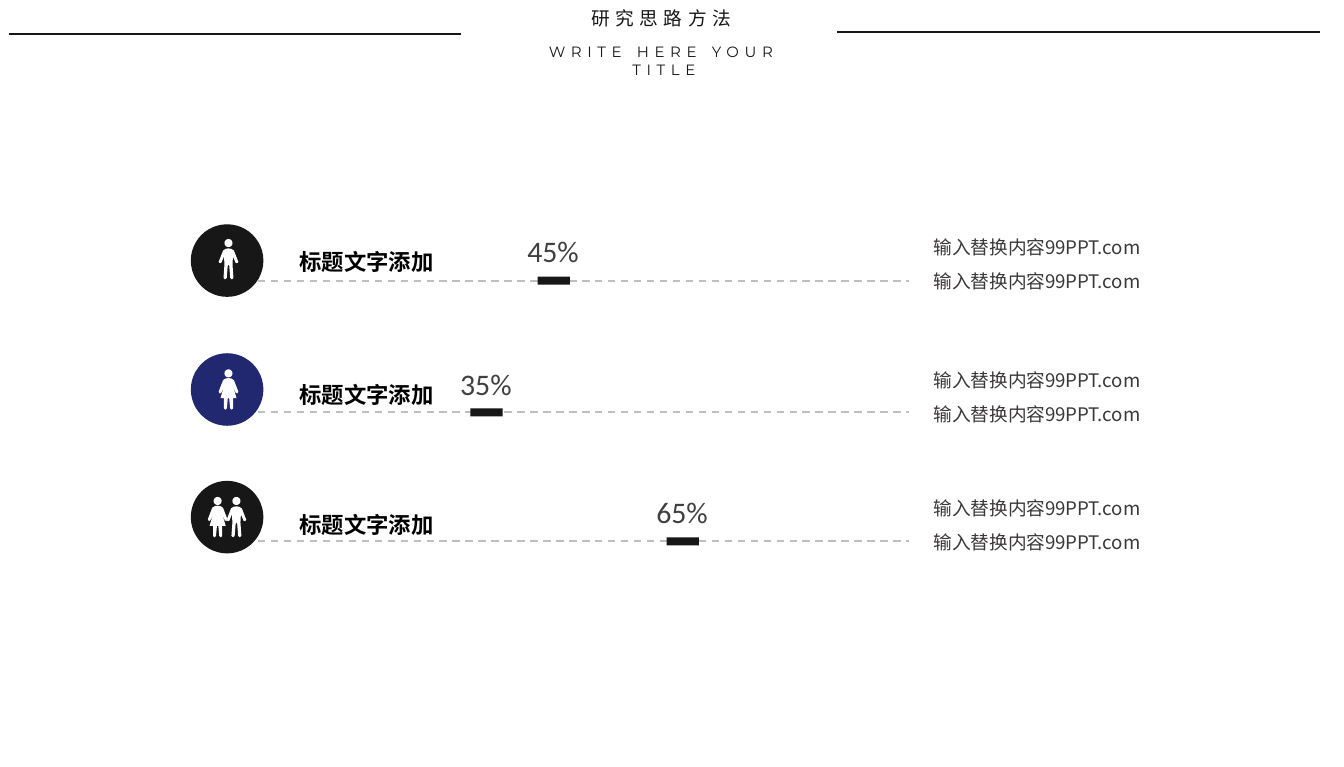
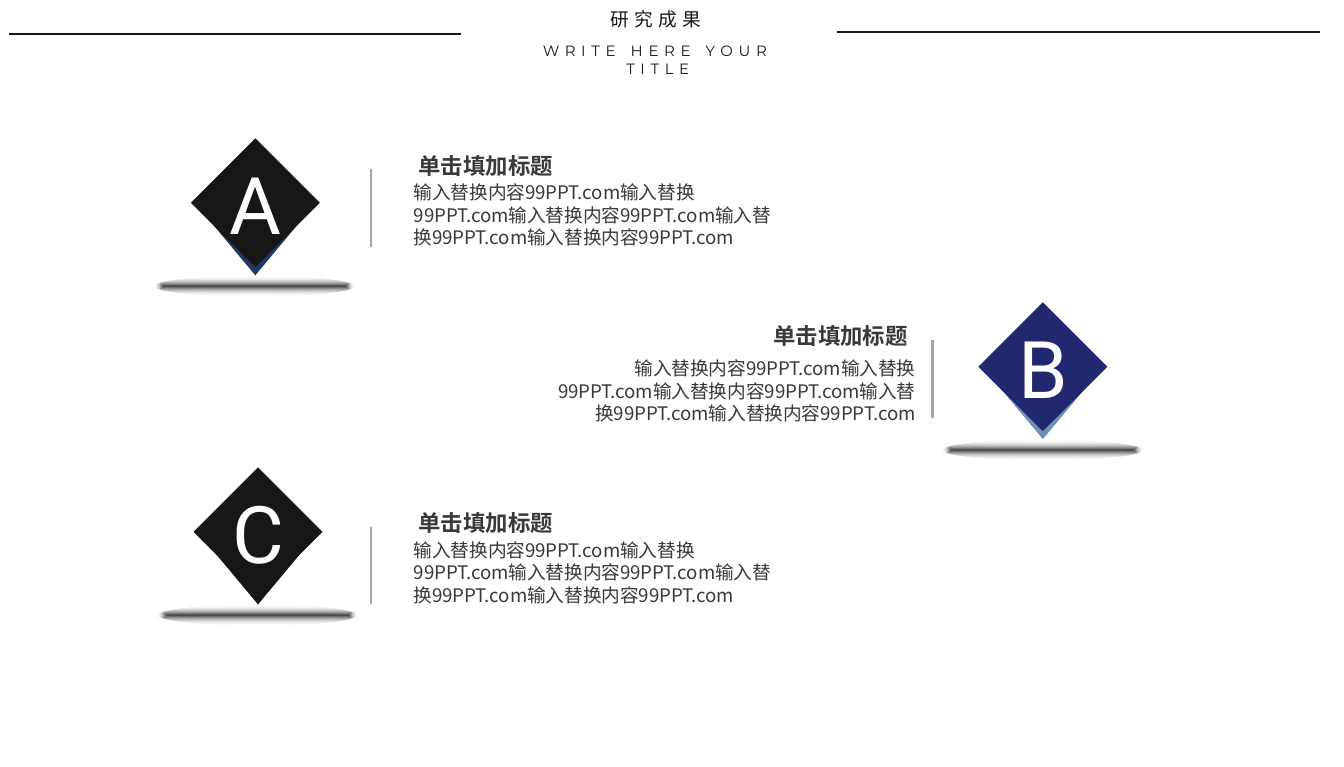
from dataclasses import dataclass
from math import cos, pi, sin

from pptx import Presentation
from pptx.dml.color import RGBColor
from pptx.enum.dml import MSO_LINE
from pptx.enum.shapes import MSO_CONNECTOR, MSO_SHAPE
from pptx.enum.text import MSO_ANCHOR, MSO_AUTO_SIZE, PP_ALIGN
from pptx.oxml import parse_xml
from pptx.oxml.ns import nsdecls, qn
from pptx.util import Inches, Pt

LEFT, CENTER, RIGHT, JUSTIFY = PP_ALIGN.LEFT, PP_ALIGN.CENTER, PP_ALIGN.RIGHT, PP_ALIGN.JUSTIFY
TOP, MIDDLE = MSO_ANCHOR.TOP, MSO_ANCHOR.MIDDLE
GROW, FIXED = MSO_AUTO_SIZE.SHAPE_TO_FIT_TEXT, MSO_AUTO_SIZE.NONE
DASH = MSO_LINE.DASH
STRAIGHT = MSO_CONNECTOR.STRAIGHT
OVAL, RECT, DIAMOND = MSO_SHAPE.OVAL, MSO_SHAPE.RECTANGLE, MSO_SHAPE.DIAMOND


@dataclass(frozen=True)
class TextStyle:
    font: str
    size: float
    color: str
    bold: bool = False
    tracking: float = 0


@dataclass(frozen=True)
class Theme:
    ink: str = "181717"
    navy: str = "212870"
    deep_blue: str = "203864"
    steel: str = "6E90B3"
    white: str = "FFFFFF"
    dash: str = "BFBFBF"
    rule: str = "A6A6A6"
    shade: str = "404040"
    shade_edge: str = "EEECE1"
    title: TextStyle = TextStyle("Noto Sans CJK SC", 10, "181717", tracking=3)
    subtitle: TextStyle = TextStyle("Montserrat", 8, "181717", tracking=3)
    label: TextStyle = TextStyle("Arial", 12, "000000", bold=True)
    percent: TextStyle = TextStyle("Calibri", 16, "404040")
    body: TextStyle = TextStyle("Noto Sans CJK SC", 10, "3B3838")
    heading: TextStyle = TextStyle("Noto Sans CJK SC", 12, "3B3838", bold=True)
    letter: TextStyle = TextStyle("Roboto", 42.6, "FFFFFF")


THEME = Theme()


@dataclass(frozen=True)
class Figure:
    x: float
    top: float
    outline: tuple


@dataclass(frozen=True)
class Measure:
    percent: str
    color: str
    circle_y: float
    line_y: float
    label_y: float
    note_y: float
    marker_x: float
    figures: tuple


@dataclass(frozen=True)
class Finding:
    letter: str
    front: str
    back: str
    x: float
    y: float
    rule_x: float
    rule_y: float
    heading_x: float
    body_x: float
    body_dy: float
    align: PP_ALIGN


# Right half of each body outline, in hundredths of an inch from the top centre
MAN = ((0, 7), (2, 7.3), (4, 8.5), (7.3, 17), (6.5, 18), (5.3, 17.7), (3.3, 13), (3, 19),
       (3.7, 29), (2.5, 30), (1.3, 29), (0.6, 20), (0, 19))
WOMAN = ((0, 6.5), (2, 6.8), (4, 8), (7.3, 16.5), (6.5, 18), (5.3, 17.3), (3.2, 12), (6, 21.5),
         (3.4, 21.5), (3.4, 29), (2.3, 30), (1.2, 29), (0.5, 21.5), (0, 21.5))
HEAD_RADIUS = 0.03
HEAD_POINTS = 16

LABEL = "标题文字添加"
NOTE = "输入替换内容99PPT.com"
HEADING = "单击填加标题"
BODY = "输入替换内容99PPT.com输入替换99PPT.com输入替换内容99PPT.com输入替换99PPT.com输入替换内容99PPT.com"
SUBTITLE = "WRITE HERE YOUR TITLE"

MEASURES = (
    Measure("45%", THEME.ink, 1.67, 2.09, 1.76, 1.71, 4.0, (Figure(1.7, 1.78, MAN),)),
    Measure("35%", THEME.navy, 2.63, 3.07, 2.75, 2.7, 3.5, (Figure(1.7, 2.75, WOMAN),)),
    Measure("65%", THEME.ink, 3.58, 4.03, 3.72, 3.65, 4.96,
            (Figure(1.62, 3.7, WOMAN), Figure(1.76, 3.7, MAN))),
)
FINDINGS = (
    Finding("A", THEME.ink, THEME.deep_blue, 1.42, 1.03, 2.76, 1.26, 2.93, 2.98, 0.04, LEFT),
    Finding("B", THEME.navy, THEME.steel, 7.28, 2.25, 6.94, 2.53, 5.57, 3.94, 0.08, RIGHT),
    Finding("C", THEME.ink, THEME.ink, 1.44, 3.48, 2.76, 3.92, 2.93, 2.98, 0.04, LEFT),
)


# Drawing helpers
def rgb(color: str) -> RGBColor:
    return RGBColor.from_string(color)


def set_text(sp, lines: tuple, style: TextStyle, align=LEFT, anchor=TOP, wrap=True,
             auto=GROW, inset=True, leading=None, gap=0) -> None:
    tf = sp.text_frame
    tf.word_wrap, tf.auto_size, tf.vertical_anchor = wrap, auto, anchor
    tf.margin_left = tf.margin_right = Inches(0.1 if inset else 0)
    tf.margin_top = tf.margin_bottom = Inches(0.05 if inset else 0)
    for i, line in enumerate(lines):
        p = tf.add_paragraph() if i else tf.paragraphs[0]
        p.text = line
        p.alignment = align
        p.space_before = Pt(gap if i else 0)
        if leading:
            p.line_spacing = leading
        f = p.font
        f.name, f.size, f.bold = style.font, Pt(style.size), style.bold
        f.color.rgb = rgb(style.color)
        props = p._p.pPr.find(qn("a:defRPr"))
        if style.tracking:
            props.set("spc", str(int(style.tracking * 100)))
        props.find(qn("a:latin")).addnext(
            parse_xml(f'<a:ea {nsdecls("a")} typeface="{style.font}"/>'))


def add_text(s, box: tuple, lines: tuple, style: TextStyle, **options):
    sp = s.shapes.add_textbox(*map(Inches, box))
    set_text(sp, lines, style, **options)
    return sp


def paint(sp, color: str) -> None:
    sp.shadow.inherit = False
    sp.fill.solid()
    sp.fill.fore_color.rgb = rgb(color)
    sp.line.fill.background()


def add_block(s, kind, box: tuple, color: str):
    sp = s.shapes.add_shape(kind, *map(Inches, box))
    paint(sp, color)
    return sp


def add_line(s, ends: tuple, color: str, width: float = 1, dash=None) -> None:
    line = s.shapes.add_connector(STRAIGHT, *map(Inches, ends))
    line.line.color.rgb = rgb(color)
    line.line.width = Pt(width)
    if dash:
        line.line.dash_style = dash
    line._element.spPr.append(parse_xml(f'<a:effectLst {nsdecls("a")}/>'))


def add_figures(s, figures: tuple) -> None:
    contours = []
    for fig in figures:
        half = list(fig.outline)
        body = half + [(-x, y) for x, y in reversed(half[1:-1])]
        contours.append([(fig.x + x / 100, fig.top + y / 100) for x, y in body])
        angles = [2 * pi * i / HEAD_POINTS for i in range(HEAD_POINTS)]
        contours.append([(fig.x + HEAD_RADIUS * cos(a),
                          fig.top + HEAD_RADIUS * (1 + sin(a))) for a in angles])
    builder = None
    for contour in contours:
        start, *rest = [(Inches(x), Inches(y)) for x, y in contour]
        if builder is None:
            builder = s.shapes.build_freeform(*start)
        else:
            builder.move_to(*start)
        builder.add_line_segments(rest, close=True)
    paint(builder.convert_to_shape(), THEME.white)


def add_ground_shade(s, x: float, y: float) -> None:
    sp = s.shapes.add_shape(OVAL, Inches(x), Inches(y), Inches(1.49), Inches(0.14))
    sp.shadow.inherit = False
    sp.line.fill.background()
    sp._element.spPr.find(qn("a:prstGeom")).addnext(parse_xml(
        f'<a:gradFill {nsdecls("a")} rotWithShape="1"><a:gsLst>'
        f'<a:gs pos="0"><a:srgbClr val="{THEME.shade}"/></a:gs>'
        f'<a:gs pos="100000"><a:srgbClr val="{THEME.shade_edge}"><a:alpha val="0"/></a:srgbClr></a:gs>'
        '</a:gsLst><a:path path="shape">'
        '<a:fillToRect l="50000" t="50000" r="50000" b="50000"/></a:path></a:gradFill>'))


# Shared header: two rules, title and subtitle
def new_slide(prs, title: str, title_box: tuple, subtitle_box: tuple):
    s = prs.slides.add_slide(prs.slide_layouts[5])
    add_line(s, (0.07, 0.25, 3.43, 0.25), THEME.ink)
    add_line(s, (6.23, 0.24, 9.82, 0.24), THEME.ink)
    sp = s.shapes.title
    sp.left, sp.top, sp.width, sp.height = map(Inches, title_box)
    set_text(sp, (title,), THEME.title, wrap=False)
    add_text(s, subtitle_box, (SUBTITLE,), THEME.subtitle, align=CENTER)
    return s


# One row: icon, dashed scale, marker with percentage, label and note
def add_measure(s, m: Measure) -> None:
    add_line(s, (1.92, m.line_y, 6.76, m.line_y), THEME.dash, dash=DASH)
    add_block(s, OVAL, (1.42, m.circle_y, 0.54, 0.54), m.color)
    add_figures(s, m.figures)
    add_block(s, RECT, (m.marker_x, m.line_y - 0.03, 0.24, 0.06), THEME.ink)
    add_text(s, (m.marker_x - 0.36, m.note_y, 0.95, 0.31), (m.percent,), THEME.percent,
             align=CENTER, anchor=MIDDLE, auto=FIXED)
    add_text(s, (2.13, m.label_y, 1.65, 0.34), (LABEL,), THEME.label, align=JUSTIFY, leading=1.2)
    add_text(s, (6.64, m.note_y, 2.15, 0.52), (NOTE, NOTE), THEME.body, align=CENTER, gap=6)


# One result: lettered diamond on its shade, rule, heading and body
def add_finding(s, f: Finding) -> None:
    add_ground_shade(s, f.x - 0.27, f.y + 1.03)
    add_block(s, DIAMOND, (f.x + 0.08, f.y + 0.06, 0.8, 0.96), f.back)
    front = add_block(s, DIAMOND, (f.x, f.y, 0.96, 0.96), f.front)
    set_text(front, (f.letter,), THEME.letter, align=CENTER, anchor=MIDDLE, auto=FIXED, inset=False)
    add_line(s, (f.rule_x, f.rule_y, f.rule_x, f.rule_y + 0.58), THEME.rule, 1.5)
    add_text(s, (f.body_x, f.rule_y + f.body_dy, 2.97, 1.25), (BODY,), THEME.body, align=f.align)
    add_text(s, (f.heading_x, f.rule_y - 0.17, 1.37, 0.23), (HEADING,), THEME.heading,
             align=CENTER, inset=False, leading=1.2)


def main() -> None:
    prs = Presentation()
    prs.slide_width, prs.slide_height = Inches(10), Inches(5.71)

    s = new_slide(prs, "研究思路方法", (4.3, 0, 1.3, 0.27), (3.9, 0.27, 2.08, 0.37))
    for measure in MEASURES:
        add_measure(s, measure)

    s = new_slide(prs, "研究成果", (4.44, 0.01, 0.93, 0.27), (3.91, 0.26, 1.97, 0.37))
    for finding in FINDINGS:
        add_finding(s, finding)

    prs.save("out.pptx")


if __name__ == "__main__":
    main()
